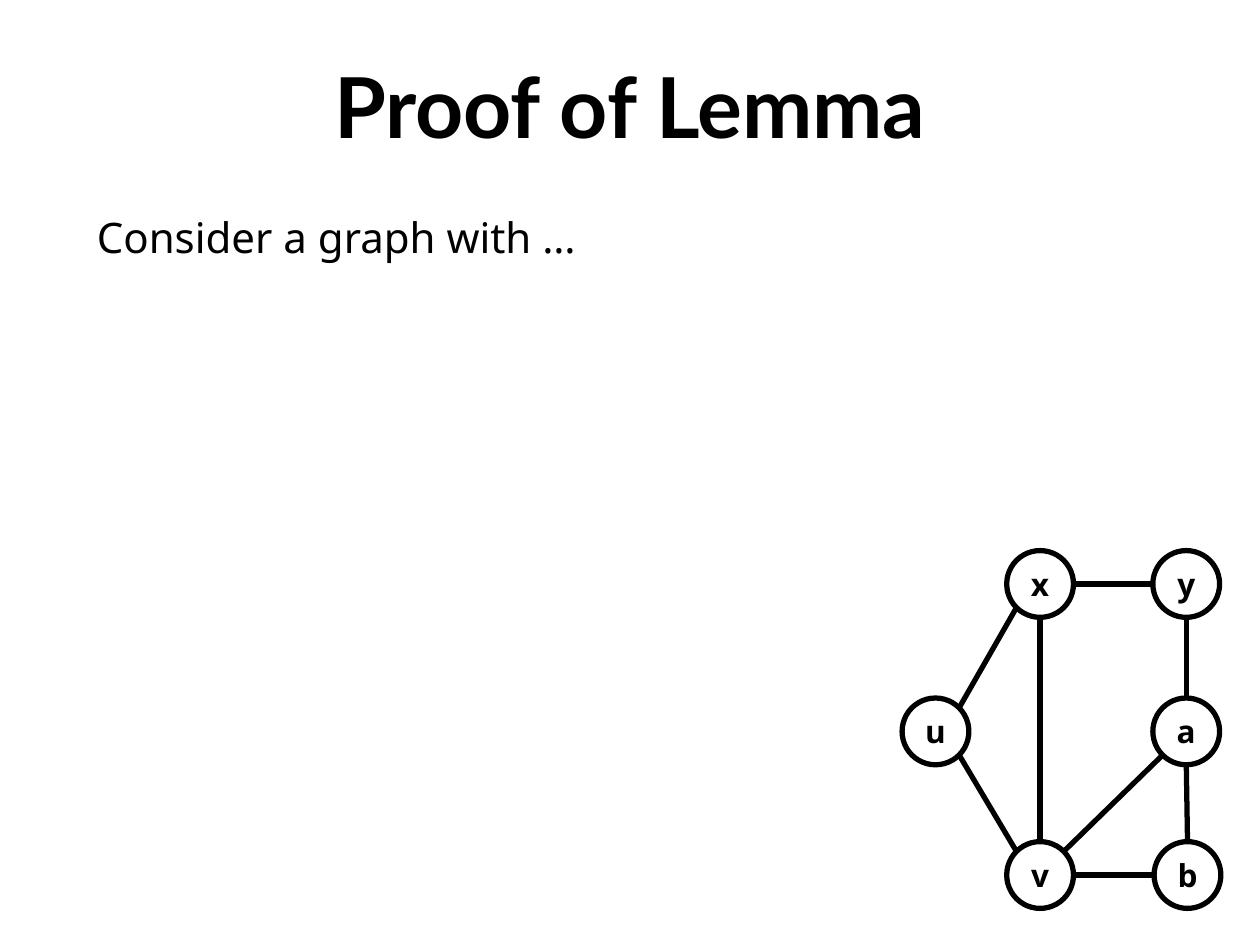
import math

from lxml import etree
from pptx import Presentation
from pptx.dml.color import RGBColor
from pptx.enum import shapes, text
from pptx.oxml import ns
from pptx.util import Inches, Pt

BLACK = RGBColor(0x00, 0x00, 0x00)
TITLE_FONT, BODY_FONT = "Lato", "Noto Sans"
DIAMETER = 0.53

# Left and top of each graph node, in inches
NODES = {
    "x": (7.99, 4.37),
    "y": (9.15, 4.37),
    "b": (9.16, 6.68),
    "u": (7.16, 5.54),
    "v": (7.99, 6.68),
    "a": (9.15, 5.54),
}

# Direction, in degrees clockwise from the right, where an edge meets a node
RIGHT, LOWER_RIGHT, DOWN, LOWER_LEFT = 0, 45, 90, 135
LEFT, UPPER_LEFT, UP, UPPER_RIGHT = 180, 225, 270, 315

EDGES = [
    ("x", RIGHT, "y", LEFT),
    ("v", RIGHT, "b", LEFT),
    ("v", UPPER_LEFT, "u", LOWER_RIGHT),
    ("u", UPPER_RIGHT, "x", LOWER_LEFT),
    ("v", UP, "x", DOWN),
    ("a", UP, "y", DOWN),
    ("b", UP, "a", DOWN),
    ("v", UPPER_RIGHT, "a", LOWER_LEFT),
]


def rim_point(name, angle):
    """Return the point on a node's rim in the given direction."""
    radius = DIAMETER / 2
    left, top = NODES[name]
    turn = math.radians(angle)
    return (Inches(left + radius + radius * math.cos(turn)),
            Inches(top + radius + radius * math.sin(turn)))


class GraphSlide:
    """Draws text, nodes and edges in one style on a slide."""

    def __init__(self, page, color=BLACK, weight=3, inset=0.1):
        """Keep the slide and the shared style."""
        self.page = page
        self.color = color
        self.weight = Pt(weight)
        self.inset = Inches(inset)

    def fill_text(self, shape, words, font, size, bold, align, anchor):
        """Fill a shape with one paragraph of styled text."""
        frame = shape.text_frame
        frame.word_wrap = True
        frame.vertical_anchor = anchor
        frame.margin_left = frame.margin_right = self.inset
        frame.margin_top = frame.margin_bottom = self.inset
        para = frame.paragraphs[0]
        para.text = words
        para.alignment = align
        para.font.name = font
        para.font.size = Pt(size)
        para.font.bold = bold
        para.font.color.rgb = self.color

    def text_box(self, words, area, font, size, bold=False,
                 align=text.PP_ALIGN.LEFT):
        """Add a text box."""
        box = self.page.shapes.add_textbox(*map(Inches, area))
        self.fill_text(box, words, font, size, bold, align,
                       text.MSO_ANCHOR.TOP)

    def edge(self, start, start_angle, end, end_angle):
        """Add a straight line between the rims of two nodes."""
        line = self.page.shapes.add_connector(
            shapes.MSO_CONNECTOR.STRAIGHT,
            *rim_point(start, start_angle), *rim_point(end, end_angle))
        line.line.color.rgb = self.color
        line.line.width = self.weight
        properties = line._element.find(ns.qn("p:spPr"))
        etree.SubElement(properties, ns.qn("a:effectLst"))

    def node(self, name):
        """Add a labelled circle."""
        left, top = NODES[name]
        circle = self.page.shapes.add_shape(
            shapes.MSO_SHAPE.OVAL, Inches(left), Inches(top),
            Inches(DIAMETER), Inches(DIAMETER))
        circle.shadow.inherit = False
        circle.fill.background()
        circle.line.color.rgb = self.color
        circle.line.width = self.weight
        self.fill_text(circle, name, BODY_FONT, 18, True,
                       text.PP_ALIGN.CENTER, text.MSO_ANCHOR.MIDDLE)


def main():
    """Build and save the slide."""
    deck = Presentation()
    deck.slide_width, deck.slide_height = Inches(10), Inches(7.5)
    slide = GraphSlide(deck.slides.add_slide(deck.slide_layouts[6]))
    slide.text_box("Consider a graph with …", (0.67, 1.58, 8.67, 5.92),
                   BODY_FONT, 24)
    slide.text_box("Proof of Lemma", (0, 0.33, 10, 1.25), TITLE_FONT, 48,
                   bold=True, align=text.PP_ALIGN.CENTER)
    for edge in EDGES:
        slide.edge(*edge)
    for name in NODES:
        slide.node(name)
    deck.save("out.pptx")


main()
